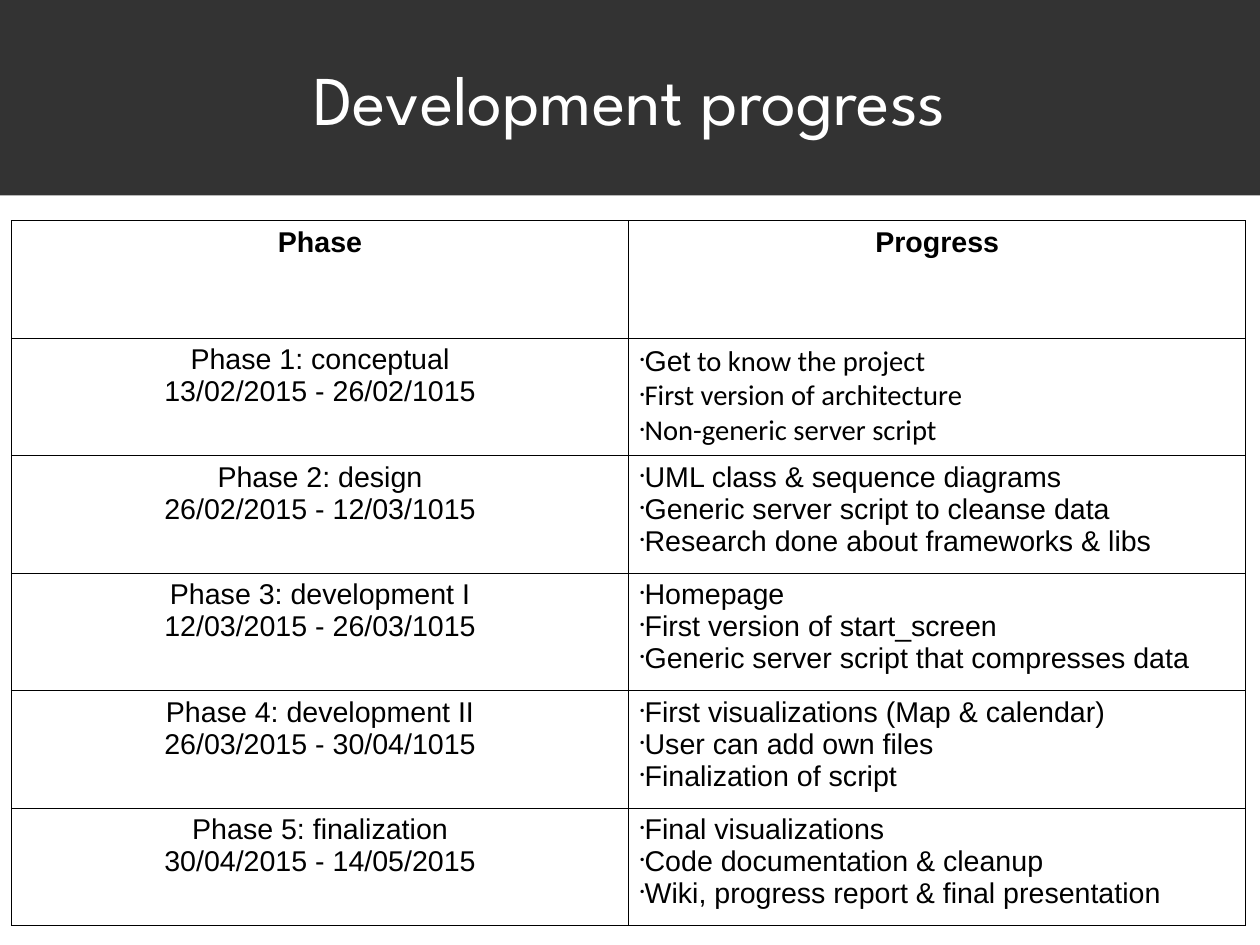
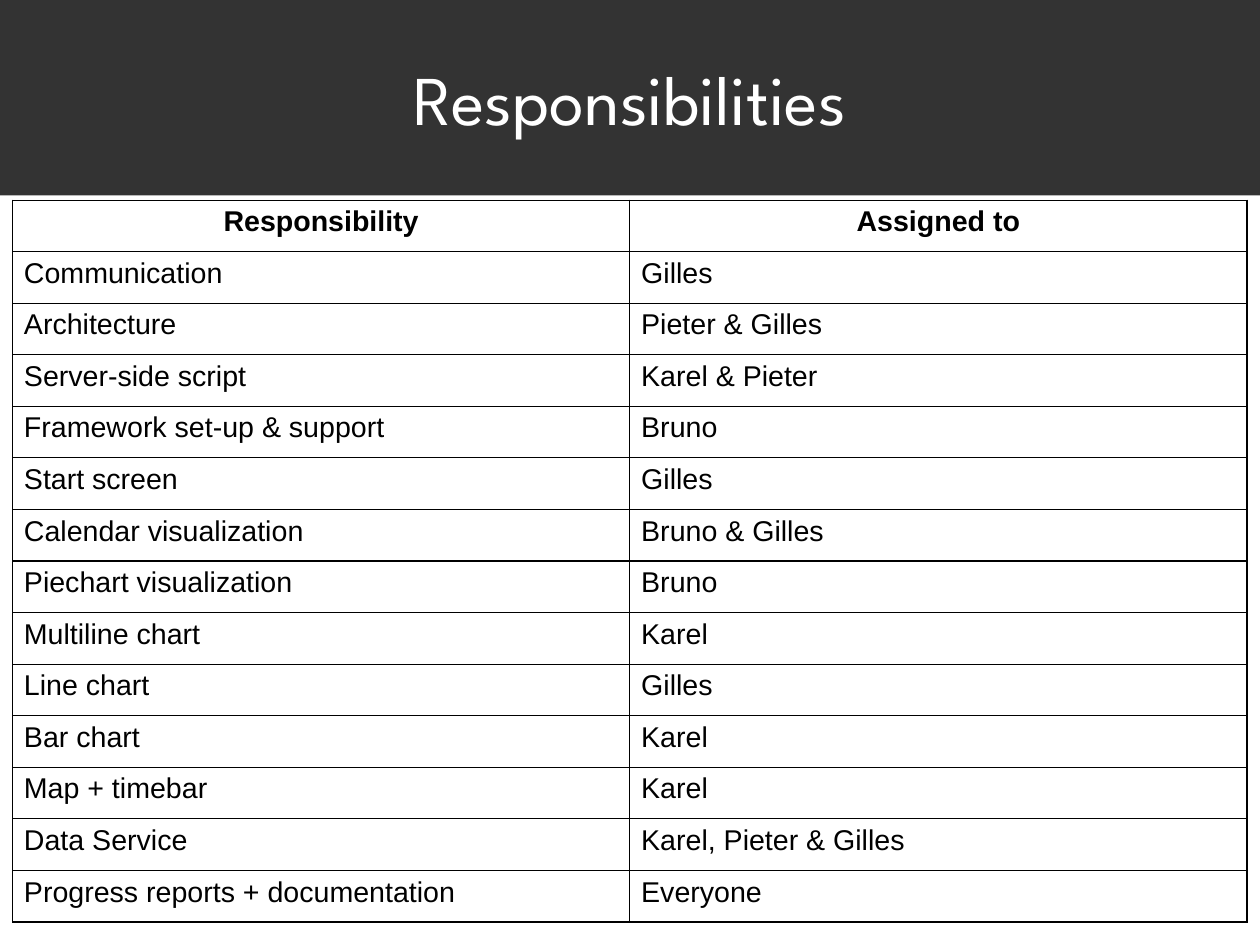
from dataclasses import dataclass

from lxml import etree
from pptx import Presentation
from pptx.dml.color import RGBColor
from pptx.enum.text import MSO_ANCHOR, MSO_AUTO_SIZE, PP_ALIGN
from pptx.oxml.ns import qn
from pptx.util import Inches, Pt

CENTER, LEFT = PP_ALIGN.CENTER, PP_ALIGN.LEFT
MIDDLE = MSO_ANCHOR.MIDDLE
NO_AUTOFIT = MSO_AUTO_SIZE.NONE
TITLE_ONLY_LAYOUT = 5


@dataclass(frozen=True)
class Theme:
    band: str = "333333"
    title_text: str = "FFFFFF"
    text: str = "000000"
    border: str = "000000"
    title_font: str = "League Spartan"
    body_font: str = "Arial"
    alternate_font: str = "Calibri"
    title_size: int = 44
    body_size: int = 18
    border_width: float = 0.75
    bullet: str = "•"
    bullet_percent: int = 45


THEME = Theme()
CM_PER_INCH = 2.54
SLIDE_WIDTH, SLIDE_HEIGHT = 28 / CM_PER_INCH, 21 / CM_PER_INCH
BAND_HEIGHT = 1.71
TABLE_WIDTH = 10.8

PHASES = [
    ("Phase 1: conceptual", "13/02/2015 - 26/02/1015", [
        [("Get", THEME.body_font), (" to know the project", THEME.alternate_font)],
        [("First version of architecture", THEME.alternate_font)],
        [("Non-generic server script", THEME.alternate_font)],
    ]),
    ("Phase 2: design", "26/02/2015 - 12/03/1015", [
        "UML class & sequence diagrams",
        "Generic server script to cleanse data",
        "Research done about frameworks & libs",
    ]),
    ("Phase 3: development I", "12/03/2015 - 26/03/1015", [
        "Homepage",
        "First version of start_screen",
        "Generic server script that compresses data",
    ]),
    ("Phase 4: development II", "26/03/2015 - 30/04/1015", [
        "First visualizations (Map & calendar)",
        "User can add own files",
        "Finalization of script",
    ]),
    ("Phase 5: finalization", "30/04/2015 - 14/05/2015", [
        "Final visualizations",
        "Code documentation & cleanup",
        "Wiki, progress report & final presentation",
    ]),
]

RESPONSIBILITIES = [
    ("Communication", "Gilles"),
    ("Architecture", "Pieter & Gilles"),
    ("Server-side script", "Karel & Pieter"),
    ("Framework set-up & support", "Bruno"),
    ("Start screen", "Gilles"),
    ("Calendar visualization", "Bruno & Gilles"),
    ("Piechart visualization", "Bruno"),
    ("Multiline chart", "Karel"),
    ("Line chart", "Gilles"),
    ("Bar chart", "Karel"),
    ("Map + timebar", "Karel"),
    ("Data Service", "Karel, Pieter & Gilles"),
    ("Progress reports + documentation", "Everyone"),
]

SLIDES = [
    {
        "title": "Development progress",
        "box": (0.1, 1.93, 6.17),
        "header": ("Phase", "Progress"),
        "rows": [([name, dates], tasks) for name, dates, tasks in PHASES],
        "alignments": (CENTER, LEFT),
        "bullets": (False, True),
    },
    {
        "title": "Responsibilities",
        "box": (0.11, 1.75, 6.32),
        "header": ("Responsibility", "Assigned to"),
        "rows": [([task], [people]) for task, people in RESPONSIBILITIES],
        "alignments": (LEFT, LEFT),
        "bullets": (False, False),
    },
]


def style_font(font, name, size, color, bold=False):
    font.name = name
    font.size = Pt(size)
    font.color.rgb = RGBColor.from_string(color)
    font.bold = bold


def add_title(slide, text):
    title = slide.shapes.title
    title.left = title.top = Inches(0)
    title.width, title.height = Inches(SLIDE_WIDTH), Inches(BAND_HEIGHT)
    title.fill.solid()
    title.fill.fore_color.rgb = RGBColor.from_string(THEME.band)
    frame = title.text_frame
    frame.text = text
    frame.auto_size = NO_AUTOFIT
    frame.vertical_anchor = MIDDLE
    frame.margin_left = frame.margin_right = Inches(0)
    frame.margin_top = frame.margin_bottom = Inches(0)
    paragraph = frame.paragraphs[0]
    paragraph.alignment = CENTER
    style_font(paragraph.runs[0].font, THEME.title_font, THEME.title_size,
               THEME.title_text)


def add_bullet(paragraph):
    properties = paragraph._p.get_or_add_pPr()
    properties.set("marL", "0")
    properties.set("indent", "0")
    etree.SubElement(properties, qn("a:buSzPct"),
                     val=str(THEME.bullet_percent * 1000))
    etree.SubElement(properties, qn("a:buChar"), char=THEME.bullet)


def outline_cell(cell):
    properties = cell._tc.get_or_add_tcPr()
    for side in ("L", "R", "T", "B"):
        line = etree.SubElement(properties, qn(f"a:ln{side}"),
                                w=str(int(Pt(THEME.border_width))))
        fill = etree.SubElement(line, qn("a:solidFill"))
        etree.SubElement(fill, qn("a:srgbClr"), val=THEME.border)
    cell.fill.background()


def fill_cell(cell, lines, alignment, bullets=False, bold=False):
    outline_cell(cell)
    frame = cell.text_frame
    for index, line in enumerate(lines):
        paragraph = frame.add_paragraph() if index else frame.paragraphs[0]
        paragraph.alignment = alignment
        if bullets:
            add_bullet(paragraph)
        pieces = [(line, THEME.body_font)] if isinstance(line, str) else line
        for text, font_name in pieces:
            run = paragraph.add_run()
            run.text = text
            style_font(run.font, font_name, THEME.body_size, THEME.text, bold)


def add_grid(slide, content):
    left, top, height = content["box"]
    header, rows = content["header"], content["rows"]
    row_count, column_count = len(rows) + 1, len(header)
    table = slide.shapes.add_table(
        row_count, column_count, Inches(left), Inches(top),
        Inches(TABLE_WIDTH), Inches(height)).table
    table.first_row = table.horz_banding = False
    for column in table.columns:
        column.width = Inches(TABLE_WIDTH / column_count)
    for row in table.rows:
        row.height = Inches(height / row_count)
    for column_index, label in enumerate(header):
        fill_cell(table.cell(0, column_index), [label], CENTER, bold=True)
        for row_index, row in enumerate(rows, start=1):
            fill_cell(table.cell(row_index, column_index), row[column_index],
                      content["alignments"][column_index],
                      content["bullets"][column_index])


def main():
    presentation = Presentation()
    presentation.slide_width = Inches(SLIDE_WIDTH)
    presentation.slide_height = Inches(SLIDE_HEIGHT)
    layout = presentation.slide_layouts[TITLE_ONLY_LAYOUT]
    for content in SLIDES:
        slide = presentation.slides.add_slide(layout)
        add_title(slide, content["title"])
        add_grid(slide, content)
    presentation.save("out.pptx")


if __name__ == "__main__":
    main()
